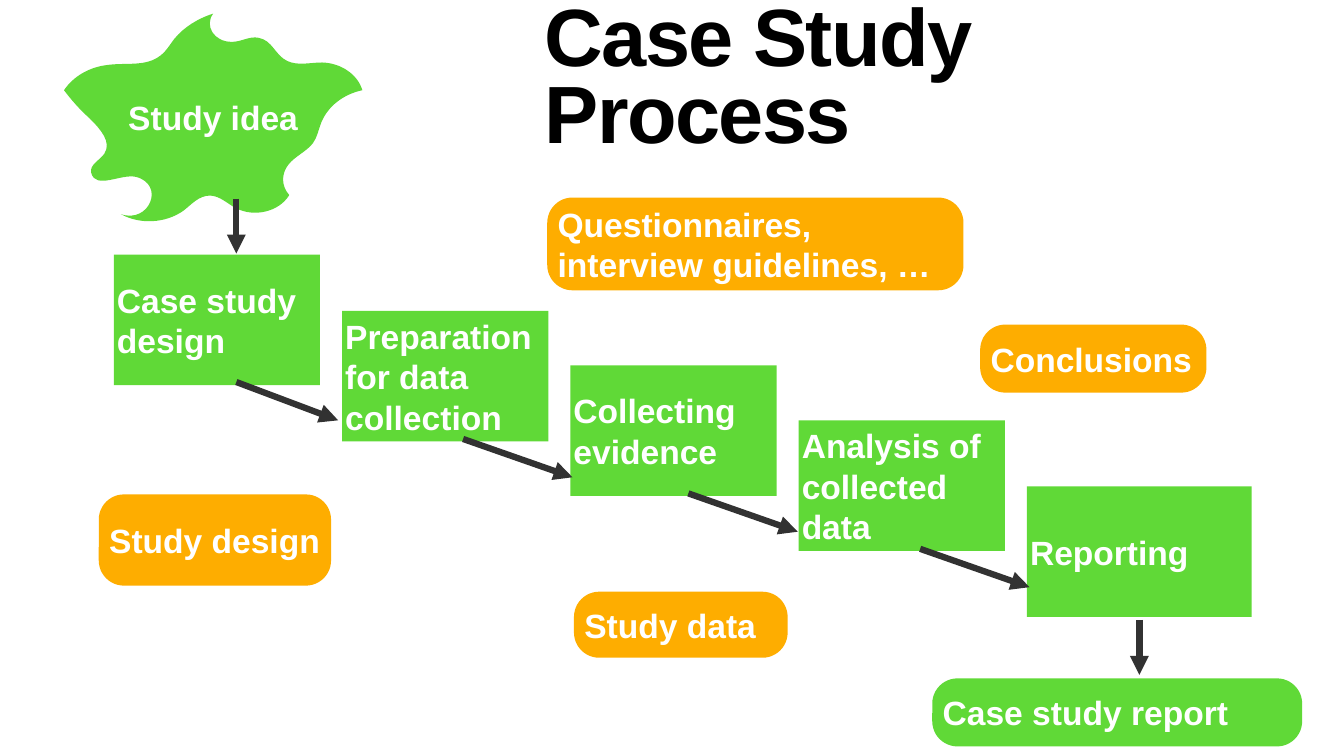
from pptx import Presentation
from pptx.dml.color import RGBColor as RGB
from pptx.enum.shapes import MSO_CONNECTOR as Conn, MSO_SHAPE as Kind
from pptx.enum.text import MSO_ANCHOR as Anchor, MSO_AUTO_SIZE as Auto, PP_ALIGN as Align
from pptx.oxml.ns import qn
from pptx.util import Pt
from lxml.etree import SubElement as Sub

PX = 9144  # EMU per px, 100 px to the inch
FONT = "Arial"
HUE = {"step": "60D937", "data": "FEAD00", "line": "323232",
       "text": "FFFFFF", "title": "000000", "page": "FFFFFF"}

# Study idea splash: start point, then curves of two handles and an end
START = (423, 27)
CURVES = [
    (405, 51, 425, 83, 459, 83), (477, 84, 495, 71, 513, 75),
    (541, 80, 546, 110, 570, 121), (591, 131, 616, 124, 639, 124),
    (677, 125, 710, 148, 719, 179), (681, 187, 651, 211, 638, 242),
    (632, 256, 630, 272, 621, 284), (608, 301, 585, 310, 572, 327),
    (558, 345, 558, 369, 574, 387), (554, 420, 505, 432, 468, 413),
    (451, 404, 437, 389, 417, 388), (394, 388, 380, 406, 364, 418),
    (329, 443, 278, 446, 240, 425), (297, 444, 328, 366, 270, 351),
    (240, 344, 190, 377, 181, 343), (177, 327, 198, 318, 207, 305),
    (222, 282, 200, 257, 178, 235), (159, 218, 142, 199, 127, 179),
    (145, 152, 177, 133, 213, 129), (247, 124, 285, 132, 313, 114),
    (328, 105, 336, 90, 346, 77), (365, 54, 392, 37, 423, 27),
]


def write(shape, text, size=48, hue="text", align=Align.LEFT):
    frame = shape.text_frame
    frame.text = text
    frame.word_wrap = True
    frame.vertical_anchor = Anchor.MIDDLE
    frame.margin_left = frame.margin_right = 6 * PX
    frame.margin_top = frame.margin_bottom = 6 * PX
    para = frame.paragraphs[0]
    para.alignment = align
    font = para.runs[0].font
    font.name, font.size, font.bold = FONT, Pt(size), True
    font.color.rgb = RGB.from_string(HUE[hue])
    return para


def paint(shape, hue):
    shape.shadow.inherit = False
    shape.fill.solid()
    shape.fill.fore_color.rgb = RGB.from_string(HUE[hue])
    shape.line.fill.background()


def block(slide, box, text, hue="step", radius=0):
    kind = Kind.ROUNDED_RECTANGLE if radius else Kind.RECTANGLE
    shape = slide.shapes.add_shape(kind, *(n * PX for n in box))
    if radius:
        shape.adjustments[0] = radius / min(box[2:])
    paint(shape, hue)
    write(shape, text)


def arrow(slide, x, y, dx, dy):
    line = slide.shapes.add_connector(
        Conn.STRAIGHT, x * PX, y * PX, (x + dx) * PX, (y + dy) * PX)
    line.line.width = Pt(9)
    line.line.color.rgb = RGB.from_string(HUE["line"])
    Sub(line.line._get_or_add_ln(), qn("a:tailEnd"), type="triangle")
    Sub(line._element.spPr, qn("a:effectLst"))


def splash(slide, box, text):
    left, top, wide, high = box
    form = slide.shapes.build_freeform(*START, scale=PX)
    form.add_line_segments([bend[4:] for bend in CURVES], close=True)
    shape = form.convert_to_shape()
    shape.left, shape.top, shape.width, shape.height = (n * PX for n in box)

    # Turn each straight segment into its curve
    trail = shape._element.spPr.find(".//" + qn("a:path"))
    trail.set("w", str(wide))
    trail.set("h", str(high))
    for part in list(trail):
        trail.remove(part)
    for tag, spots in [("a:moveTo", START)] + [("a:cubicBezTo", c) for c in CURVES]:
        step = Sub(trail, qn(tag))
        for x, y in zip(spots[::2], spots[1::2]):
            Sub(step, qn("a:pt"), x=str(x - left), y=str(y - top))
    Sub(trail, qn("a:close"))

    paint(shape, "step")
    write(shape, text, align=Align.CENTER)


def title(slide, box, text):
    shape = slide.shapes.add_textbox(*(n * PX for n in box))
    para = write(shape, text, 116, "title")
    shape.text_frame.auto_size = Auto.SHAPE_TO_FIT_TEXT
    para.line_spacing = 0.8
    para.runs[0].font._element.set("spc", "-232")


def stairs(slide, left, names, tops):
    """Process steps, stepping down to the right."""
    for i, (name, top) in enumerate(zip(names, tops)):
        wide = 446 if i == len(names) - 1 else 409
        block(slide, (left + 453 * i, top, wide, 259), name)


def main():
    deck = Presentation()
    deck.slide_width, deck.slide_height = 2667 * PX, 1500 * PX
    slide = deck.slides.add_slide(deck.slide_layouts[6])
    back = slide.background.fill
    back.solid()
    back.fore_color.rgb = RGB.from_string(HUE["page"])

    title(slide, (1075, 61, 1497, 202), "Case Study Process")
    splash(slide, (127, 27, 592, 412), "Study idea")
    stairs(slide, 226,
           ["Case study design", "Preparation for data collection",
            "Collecting evidence", "Analysis of collected data", "Reporting"],
           [505, 617, 725, 834, 965])

    # Arrows between steps, then into the first and out of the last
    for x, y, dx in [(469, 758, 202), (919, 871, 217),
                     (1366, 979, 217), (1826, 1089, 217)]:
        arrow(slide, x, y, dx, 76)
    for x, y in [(469, 394), (2261, 1230)]:
        arrow(slide, x, y, 0, 109)

    # Results of the steps
    for box, text, hue in [
        ((1850, 1346, 734, 135), "Case study report", "step"),
        ((196, 981, 461, 181), "Study design", "data"),
        ((1086, 392, 826, 184), "Questionnaires, interview guidelines, …", "data"),
        ((1139, 1174, 424, 131), "Study data", "data"),
        ((1945, 644, 449, 135), "Conclusions", "data"),
    ]:
        block(slide, box, text, hue, radius=50)

    deck.save("out.pptx")


if __name__ == "__main__":
    main()
